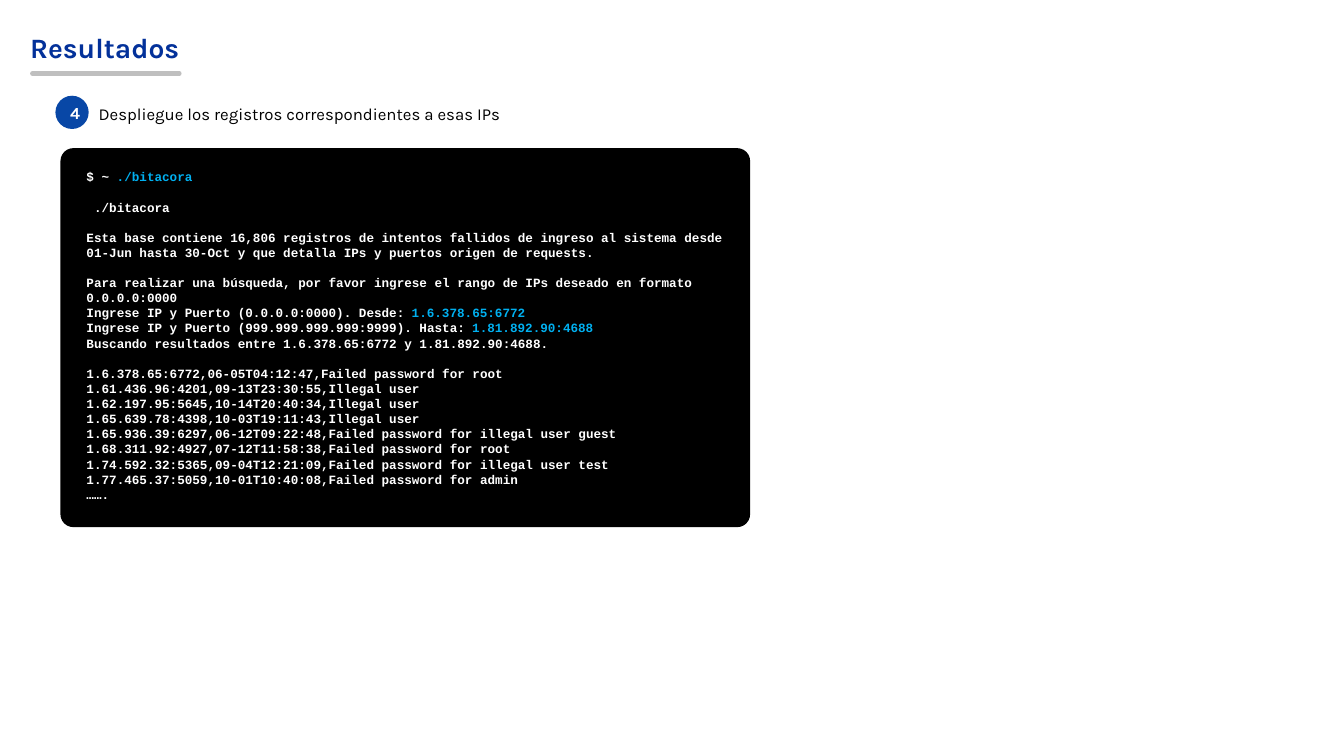
from lxml.etree import SubElement
from pptx import Presentation
from pptx.dml.color import RGBColor
from pptx.enum.shapes import MSO_CONNECTOR, MSO_SHAPE
from pptx.enum.text import MSO_ANCHOR, PP_ALIGN
from pptx.oxml.ns import qn
from pptx.util import Inches, Pt

NAVY, BLUE, CYAN = "03319A", "0847A6", "00B0F0"
WHITE, BLACK, GRAY = "FFFFFF", "000000", "BFBFBF"
LINE_PITCH = Pt(10.8)

SESSION = [
    [("$ ~ ", WHITE), ("./bitacora", CYAN)],
    [(" ./bitacora", WHITE)],
    [("Esta base contiene 16,806 registros de intentos fallidos de ingreso al sistema "
      "desde 01-Jun hasta 30-Oct y que detalla IPs y puertos origen de requests.", WHITE)],
    [("Para realizar una búsqueda, por favor ingrese el rango de IPs deseado en formato "
      "0.0.0.0:0000", WHITE)],
    [("Ingrese IP y Puerto (0.0.0.0:0000). Desde: ", WHITE), ("1.6.378.65:6772", CYAN)],
    [("Ingrese IP y Puerto (999.999.999.999:9999). Hasta: ", WHITE), ("1.81.892.90:4688", CYAN)],
    [("Buscando resultados entre 1.6.378.65:6772 y 1.81.892.90:4688.", WHITE)],
]
RECORDS = [
    "1.6.378.65:6772,06-05T04:12:47,Failed password for root",
    "1.61.436.96:4201,09-13T23:30:55,Illegal user",
    "1.62.197.95:5645,10-14T20:40:34,Illegal user",
    "1.65.639.78:4398,10-03T19:11:43,Illegal user",
    "1.65.936.39:6297,06-12T09:22:48,Failed password for illegal user guest",
    "1.68.311.92:4927,07-12T11:58:38,Failed password for root",
    "1.74.592.32:5365,09-04T12:21:09,Failed password for illegal user test",
    "1.77.465.37:5059,10-01T10:40:08,Failed password for admin",
    "…….",
]
SPACED_LINES = {1, 2, 3, len(SESSION)}


def color(value):
    return RGBColor.from_string(value)


def style(span, size, font, shade, bold=False):
    span.font.size = Pt(size)
    span.font.name = font
    span.font.bold = bold
    span.font.color.rgb = color(shade)


def add_text(page, left, top, width, height):
    box = page.shapes.add_textbox(Inches(left), Inches(top), Inches(width), Inches(height))
    box.text_frame.word_wrap = True
    return box.text_frame


def add_filled(page, preset, left, top, width, height, shade):
    shape = page.shapes.add_shape(preset, Inches(left), Inches(top), Inches(width), Inches(height))
    shape.shadow.inherit = False
    shape.fill.solid()
    shape.fill.fore_color.rgb = color(shade)
    shape.line.fill.background()
    return shape


def add_heading(page, left, top, width, height):
    frame = add_text(page, left, top, width, height)
    frame.vertical_anchor = MSO_ANCHOR.MIDDLE
    frame.margin_top = frame.margin_bottom = Inches(0.1)
    frame.text = "Resultados"
    style(frame.paragraphs[0].runs[0], 20, "Karla", NAVY, True)
    start, level = Inches(left + 0.12), Inches(top + 0.56)
    underline = page.shapes.add_connector(
        MSO_CONNECTOR.STRAIGHT, start, level, start + Inches(1.46), level)
    underline.line.color.rgb = color(GRAY)
    underline.line.width = Pt(3)
    properties = underline._element.spPr
    properties.find(qn("a:ln")).set("cap", "rnd")
    SubElement(properties, qn("a:effectLst"))


def add_step(page, left, top, width, height):
    badge = add_filled(page, MSO_SHAPE.OVAL, left, top, height, height, BLUE)
    badge.text_frame.text = "4"
    badge.text_frame.vertical_anchor = MSO_ANCHOR.MIDDLE
    para = badge.text_frame.paragraphs[0]
    para.alignment = PP_ALIGN.CENTER
    style(para.runs[0], 12, "Karla", WHITE, True)
    frame = add_text(page, left + height, top + 0.03, width - height, 0.3)
    frame.text = "Despliegue los registros correspondientes a esas IPs"
    style(frame.paragraphs[0].runs[0], 12, "Karla", BLACK)


def add_terminal(page, left, top, width, height):
    panel = add_filled(page, MSO_SHAPE.ROUNDED_RECTANGLE, left, top, width, height, BLACK)
    panel.adjustments[0] = 0.034
    inset = 0.16
    frame = add_text(page, left + inset, top + inset, width - 1.75 * inset, height - 2 * inset)
    lines = SESSION + [[(record, WHITE)] for record in RECORDS]
    for index, line in enumerate(lines):
        para = frame.add_paragraph() if index else frame.paragraphs[0]
        para.line_spacing = LINE_PITCH
        if index in SPACED_LINES:
            para.space_before = LINE_PITCH
        for text, shade in line:
            span = para.add_run()
            span.text = text
            style(span, 9, "Courier New", shade, True)


deck = Presentation()
deck.slide_width, deck.slide_height = Inches(13.33), Inches(7.5)
page = deck.slides.add_slide(deck.slide_layouts[6])
add_heading(page, 0.2, 0.17, 5.1, 0.6)
add_step(page, 0.55, 0.95, 7.53, 0.33)
add_terminal(page, 0.6, 1.47, 6.84, 3.76)
deck.save("out.pptx")
